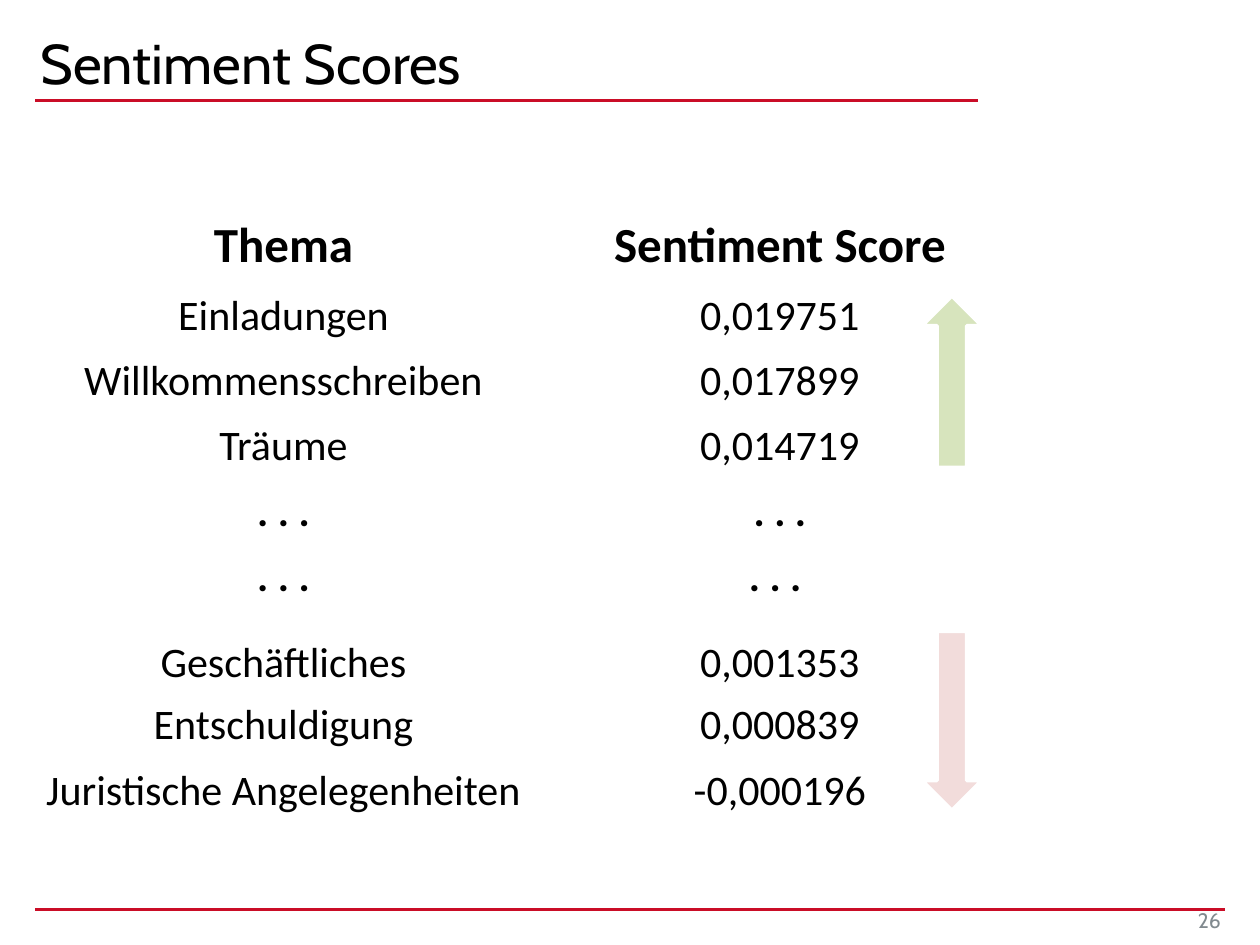
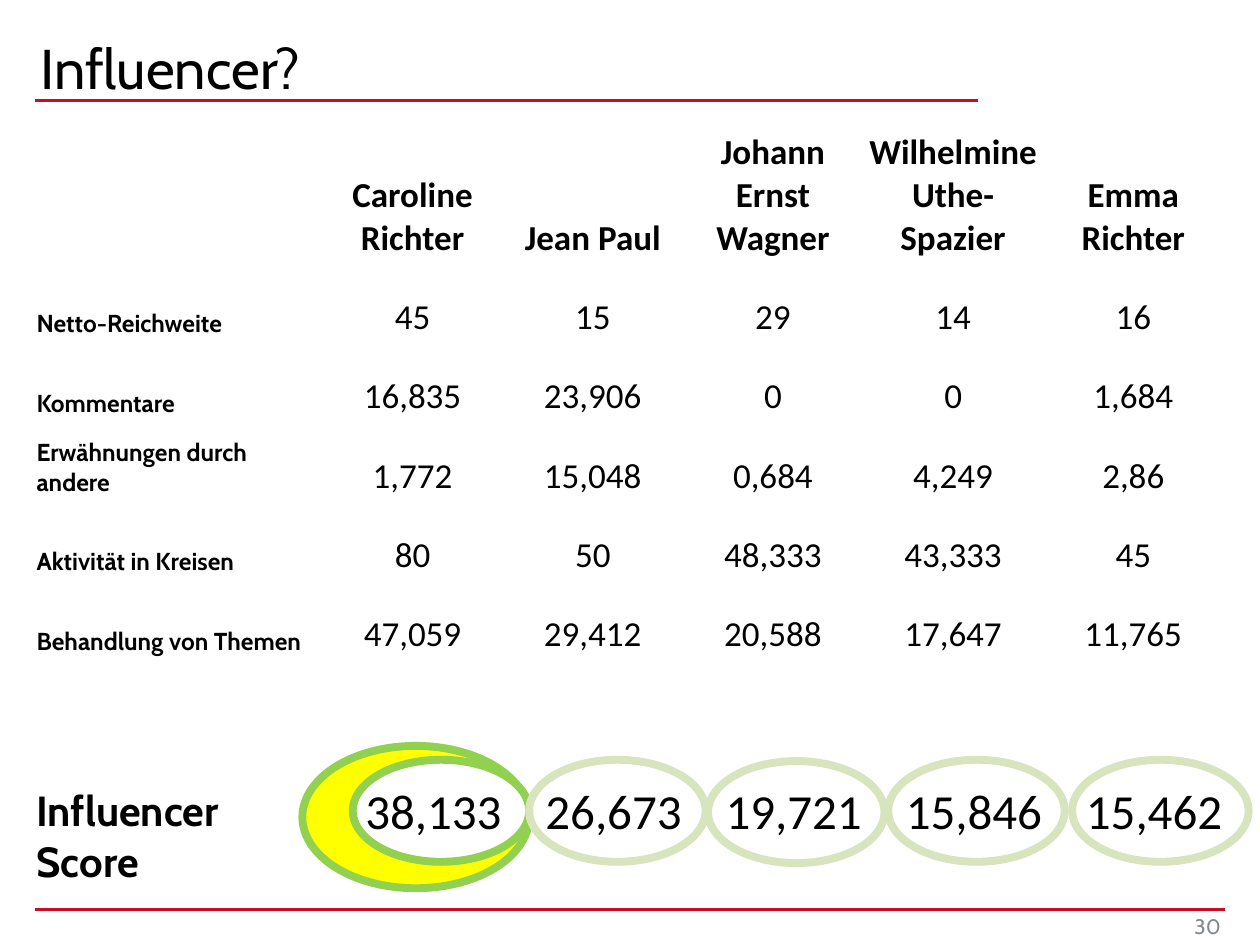
from lxml import etree
from pptx import Presentation
from pptx.dml.color import RGBColor
from pptx.enum.shapes import MSO_CONNECTOR, MSO_SHAPE
from pptx.enum.text import MSO_ANCHOR as Anchor, MSO_AUTO_SIZE, PP_ALIGN as Align
from pptx.oxml.ns import qn
from pptx.util import Inches, Pt

BLACK = RGBColor(0x00, 0x00, 0x00)
WHITE = RGBColor(0xFF, 0xFF, 0xFF)
RED = RGBColor(0xCA, 0x0D, 0x27)
GREY = RGBColor(0x81, 0x8A, 0x8F)
PALE_GREEN = RGBColor(0xD7, 0xE4, 0xBD)
PALE_RED = RGBColor(0xF2, 0xDC, 0xDB)
GREEN = RGBColor(0x92, 0xD0, 0x50)
YELLOW = RGBColor(0xFF, 0xFF, 0x00)
HEADING_FONT, TABLE_FONT = "Cabin", "Calibri"
PLAIN_TABLE_STYLE = "{2D5ABB26-0587-4C30-8999-92F81FD0307C}"

MARGIN = 0.28
RULES = [(0.8, 7.76), (7.22, 9.72)]  # height, right end

SCORE_HEADER = ("Thema", "Sentiment Score")
TOP_SCORES = [
    ("Einladungen", "0,019751"),
    ("Willkommensschreiben", "0,017899"),
    ("Träume", "0,014719"),
]
ELLIPSIS_ROWS = [(". . .", ". . ."), (". . .", ". . . ")]
BOTTOM_SCORES = [
    ("Geschäftliches", "0,001353"),
    ("Entschuldigung", "0,000839"),
    ("Juristische Angelegenheiten", "-0,000196"),
]

PEOPLE = ["", "Caroline Richter", "Jean Paul", "Johann Ernst Wagner",
          "Wilhelmine Uthe-Spazier", "Emma Richter"]
MEASURES = [
    ("Netto-Reichweite", "45", "15", "29", "14", "16"),
    ("Kommentare", "16,835", "23,906", "0", "0", "1,684"),
    ("Erwähnungen durch andere", "1,772", "15,048", "0,684", "4,249", "2,86"),
    ("Aktivität in Kreisen", "80", "50", "48,333", "43,333", "45"),
    ("Behandlung von Themen", "47,059", "29,412", "20,588", "17,647", "11,765"),
]
INFLUENCER_SCORES = ("Influencer Score", "38,133", "26,673", "19,721", "15,846", "15,462")
RUNNER_UP_RINGS = [(4.2, 6.03), (5.62, 6.04), (7.05, 6.03), (8.51, 6.03)]


def write(frame, text, size, font=TABLE_FONT, color=BLACK, bold=False,
          align=Align.LEFT, line_spacing=None):
    para = frame.paragraphs[0]
    para.alignment = align
    if line_spacing:
        para.line_spacing = line_spacing
    span = para.add_run()
    span.text = text
    span.font.size = Pt(size)
    span.font.name = font
    span.font.bold = bold
    span.font.color.rgb = color


def set_insets(box, side, vertical):
    box.margin_left = box.margin_right = Inches(side)
    box.margin_top = box.margin_bottom = Inches(vertical)


def add_rule(slide, y, right):
    rule = slide.shapes.add_connector(
        MSO_CONNECTOR.STRAIGHT, Inches(MARGIN), Inches(y), Inches(right), Inches(y))
    rule.line.color.rgb = RED
    rule.line.width = Pt(1.75)
    etree.SubElement(rule._element.spPr, qn("a:effectLst"))


def add_page(deck, title, title_top, number, number_top):
    """Add a slide with its title, red rules and page number."""
    slide = deck.slides.add_slide(deck.slide_layouts[5])
    for y, right in RULES:
        add_rule(slide, y, right)

    heading = slide.shapes.title
    heading.left, heading.top = Inches(MARGIN), Inches(title_top)
    heading.width, heading.height = Inches(7.48), Inches(0.74)
    frame = heading.text_frame
    frame.auto_size = MSO_AUTO_SIZE.NONE
    frame.vertical_anchor = Anchor.BOTTOM
    set_insets(frame, 0.04, 0)
    write(frame, title, 32, HEADING_FONT, line_spacing=Pt(28))

    box = slide.shapes.add_textbox(
        Inches(8.9), Inches(number_top), Inches(0.83), Inches(0.2))
    frame = box.text_frame
    frame.word_wrap = True
    frame.vertical_anchor = Anchor.MIDDLE
    set_insets(frame, 0.04, 0.04)
    write(frame, number, 12, HEADING_FONT, GREY, align=Align.RIGHT)
    return slide


def add_plain_table(slide, top, widths, heights):
    """Add a table with no grid, no fill and narrow cell margins."""
    table = slide.shapes.add_table(
        len(heights), len(widths), Inches(MARGIN), Inches(top),
        Inches(sum(widths)), Inches(sum(heights))).table
    table.first_row = table.horz_banding = False
    table._tbl.tblPr.find(qn("a:tableStyleId")).text = PLAIN_TABLE_STYLE
    for column, width in zip(table.columns, widths):
        column.width = Inches(width)
    for row, height in zip(table.rows, heights):
        row.height = Inches(height)
    for cell in table.iter_cells():
        cell.fill.background()
        set_insets(cell, 0.01, 0)
        cell.margin_top = Inches(0.01)
    return table


def fill_row(table, row, texts, size, anchor=Anchor.BOTTOM, align=Align.CENTER,
             bold=False, label_size=None):
    """Write one row; label_size makes its first cell a bold left label."""
    for column, text in enumerate(texts):
        if not text:
            continue
        cell = table.cell(row, column)
        if label_size and column == 0:
            cell.vertical_anchor = Anchor.BOTTOM
            write(cell.text_frame, text, label_size, HEADING_FONT, bold=True)
        else:
            cell.vertical_anchor = anchor
            write(cell.text_frame, text, size, bold=bold, align=align)


def add_figure(slide, kind, left, top, width, height, fill, line, line_width):
    figure = slide.shapes.add_shape(
        kind, Inches(left), Inches(top), Inches(width), Inches(height))
    figure.shadow.inherit = False
    if fill is None:
        figure.fill.background()
    else:
        figure.fill.solid()
        figure.fill.fore_color.rgb = fill
    figure.line.color.rgb = line
    figure.line.width = Pt(line_width)


def add_ring(slide, left, top, fill, line, width=1.4, height=0.81):
    add_figure(slide, MSO_SHAPE.OVAL, left, top, width, height, fill, line, 4.5)


def build_sentiment_scores(deck):
    slide = add_page(deck, "Sentiment Scores", 0.02, "26", 7.2)
    widths = [3.94] * 2
    top_rows = TOP_SCORES + ELLIPSIS_ROWS
    top_table = add_plain_table(slide, 1.16, widths, [1.03] + [0.52] * len(top_rows))
    fill_row(top_table, 0, SCORE_HEADER, 28, bold=True)
    for row, texts in enumerate(top_rows, 1):
        fill_row(top_table, row, texts, 24, bold=texts in ELLIPSIS_ROWS)

    bottom_table = add_plain_table(slide, 4.95, widths, [0.52, 0.49, 0.52])
    for row, texts in enumerate(BOTTOM_SCORES):
        fill_row(bottom_table, row, texts, 24)

    add_figure(slide, MSO_SHAPE.DOWN_ARROW, 7.32, 5.01, 0.47, 1.42, PALE_RED, WHITE, 2)
    add_figure(slide, MSO_SHAPE.UP_ARROW, 7.32, 2.35, 0.47, 1.36, PALE_GREEN, WHITE, 2)


def build_influencers(deck):
    slide = add_page(deck, "Influencer?", 0.06, "30", 7.25)
    add_ring(slide, 2.4, 5.92, YELLOW, GREEN, width=1.8, height=1.13)
    add_ring(slide, 2.8, 6.03, WHITE, GREEN)

    heights = [1.07] + [0.63] * (len(MEASURES) + 1) + [1.21]
    table = add_plain_table(slide, 0.99, [2.28] + [1.43] * 5, heights)
    fill_row(table, 0, PEOPLE, 20, bold=True)
    for row, texts in enumerate(MEASURES, 1):
        fill_row(table, row, texts, 20, label_size=14)
    fill_row(table, len(heights) - 1, INFLUENCER_SCORES, 28, Anchor.MIDDLE,
             Align.RIGHT, label_size=24)

    for left, top in RUNNER_UP_RINGS:
        add_ring(slide, left, top, None, PALE_GREEN)


def main():
    deck = Presentation()
    deck.slide_width, deck.slide_height = Inches(10), Inches(7.5)
    build_sentiment_scores(deck)
    build_influencers(deck)
    deck.save("out.pptx")


if __name__ == "__main__":
    main()
